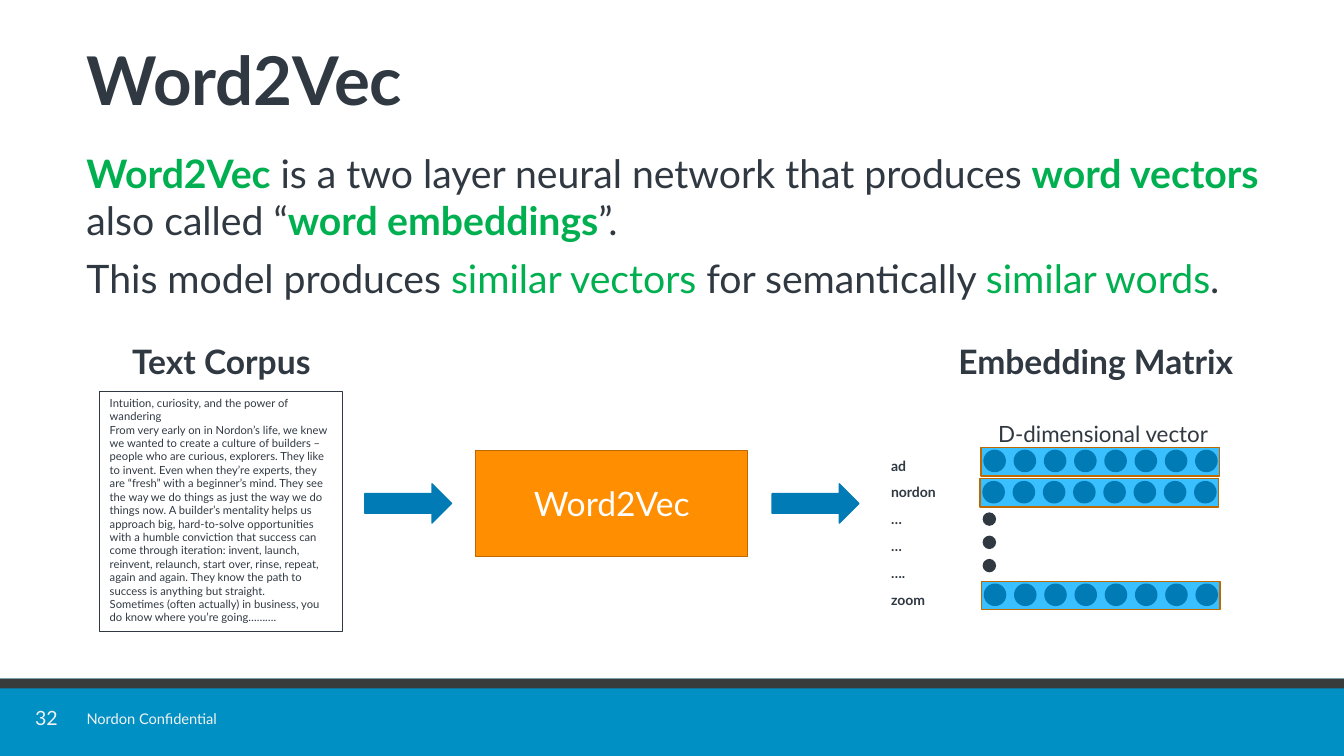
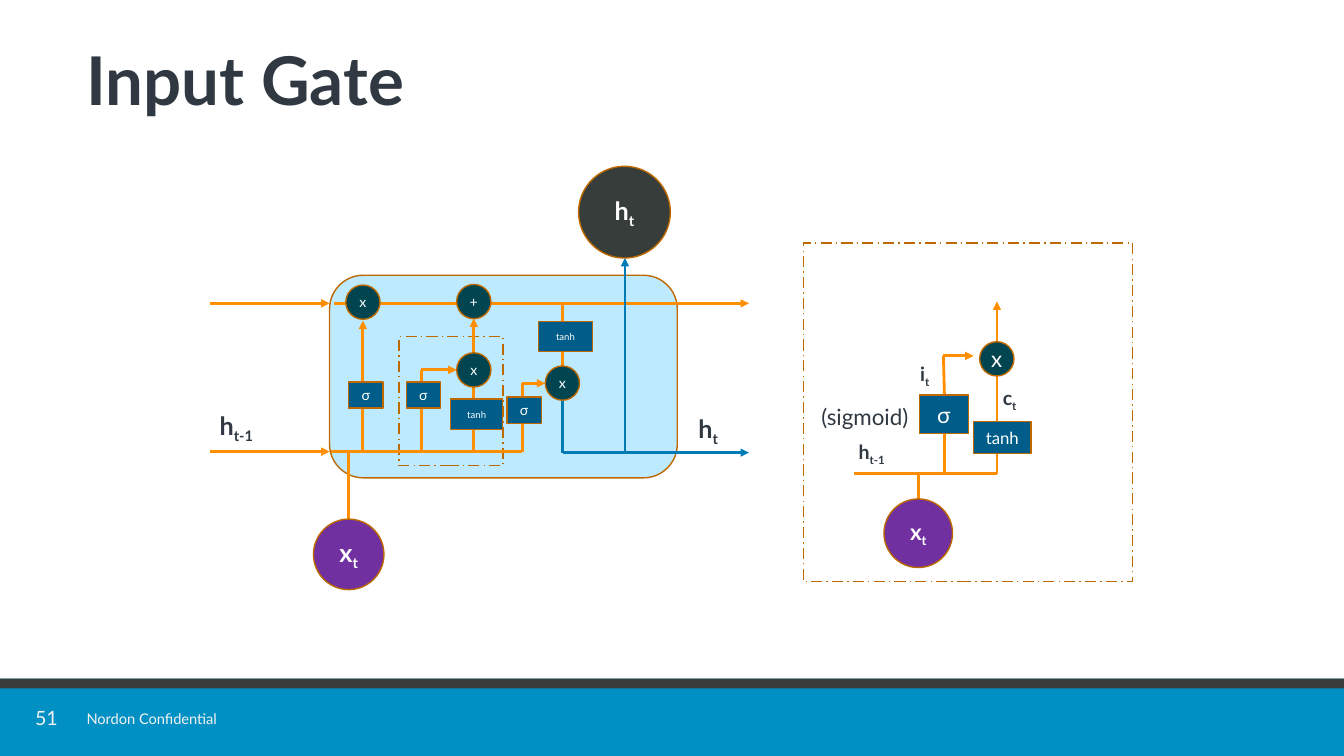
from lxml.etree import SubElement
from pptx import Presentation
from pptx.dml.color import RGBColor
from pptx.enum.dml import MSO_LINE
from pptx.enum.shapes import MSO_CONNECTOR, MSO_SHAPE as Preset
from pptx.enum.text import MSO_ANCHOR as Anchor, PP_ALIGN as Align
from pptx.oxml.ns import qn
from pptx.util import Pt

INK, WHITE, PALE = "303942", "FFFFFF", "F2F2F2"
BAND, BAND_EDGE = "0090C3", "383D3B"
GREEN, ORANGE, OUTLINE = "00B050", "FF8E00", "BD6900"
BLUE, VECTOR, CELL = "007BB6", "3ABFFF", "BDEAFF"
GATE, OPERATOR, INPUT, OUTPUT = "005C88", "00454F", "7030A0", "373D3A"


def rgb(value):
    return RGBColor.from_string(value)


def sub(base, index):
    """Runs of a symbol followed by its subscript."""
    return [(base, {}), (index, {"sub": True})]


class Deck:
    """The presentation, its style and the slide being drawn."""

    font = "Lato"

    def __init__(self):
        self.prs = Presentation()
        self.prs.slide_width, self.prs.slide_height = Pt(960), Pt(540)
        self.shapes = None

    def slide(self, title, number):
        """Start a slide with its bands, footer and title."""
        self.shapes = self.prs.slides.add_slide(self.prs.slide_layouts[6]).shapes
        self.shape(Preset.RECTANGLE, 0, 484.7, 960, 55.3, BAND)
        self.shape(Preset.RECTANGLE, 0, 484.7, 960, 7, BAND_EDGE)
        self.text(23.8, 505.4, 18.7, 16.6, [number], 14, PALE, align=Align.CENTER,
                  anchor=Anchor.MIDDLE, inset=0, wrap=False, spacing=0.9)
        self.text(54.7, 503.3, 115, 20, ["Nordon Confidential"], 10.5, PALE, wrap=False)
        self.text(54.7, 23, 857.5, 77.8, [title], 48, bold=True,
                  anchor=Anchor.MIDDLE, spacing=0.8)

    def set_text(self, frame, paragraphs, size, color=INK, bold=False, align=Align.LEFT,
                 anchor=Anchor.TOP, inset=None, wrap=True, spacing=None, gap=0):
        """Fill a text frame; a paragraph is a string or a list of (text, style) runs."""
        frame.word_wrap = wrap
        frame.vertical_anchor = anchor
        if inset is not None:
            frame.margin_left = frame.margin_right = Pt(inset)
            frame.margin_top = frame.margin_bottom = Pt(inset)
        for index, content in enumerate(paragraphs):
            paragraph = frame.add_paragraph() if index else frame.paragraphs[0]
            paragraph.alignment = align
            if spacing:
                paragraph.line_spacing = spacing
            if index and gap:
                paragraph.space_before = Pt(gap)
            font = paragraph.font
            font.name, font.size, font.bold = self.font, Pt(size), bold
            font.color.rgb = rgb(color)
            runs = [(content, {})] if isinstance(content, str) else content
            for words, style in runs:
                run = paragraph.add_run()
                run.text = words
                if "bold" in style:
                    run.font.bold = style["bold"]
                if "color" in style:
                    run.font.color.rgb = rgb(style["color"])
                if "sub" in style:
                    run._r.get_or_add_rPr().set("baseline", "-25000")

    def text(self, left, top, width, height, paragraphs, size, color=INK, **style):
        box = self.shapes.add_textbox(Pt(left), Pt(top), Pt(width), Pt(height))
        self.set_text(box.text_frame, paragraphs, size, color, **style)

    def shape(self, preset, left, top, width, height, fill=None, line=None,
              weight=1, dash=None):
        shape = self.shapes.add_shape(preset, Pt(left), Pt(top), Pt(width), Pt(height))
        shape.shadow.inherit = False
        if fill:
            shape.fill.solid()
            shape.fill.fore_color.rgb = rgb(fill)
        else:
            shape.fill.background()
        if line:
            shape.line.color.rgb = rgb(line)
            shape.line.width = Pt(weight)
            if dash:
                shape.line.dash_style = dash
        else:
            shape.line.fill.background()
        return shape

    def node(self, preset, left, top, width, height, fill, label, size, bold=False):
        """Outlined shape with a white centred label."""
        node = self.shape(preset, left, top, width, height, fill, OUTLINE)
        self.set_text(node.text_frame, [label], size, WHITE, bold, Align.CENTER,
                      Anchor.MIDDLE, inset=0, wrap=False)

    def wire(self, *points, color=ORANGE, arrow=True):
        """Straight connectors through the points, the last one with an arrowhead."""
        for start, end in zip(points, points[1:]):
            ends = [Pt(value) for value in (*start, *end)]
            connector = self.shapes.add_connector(MSO_CONNECTOR.STRAIGHT, *ends)
            connector.line.color.rgb = rgb(color)
            connector.line.width = Pt(2)
            properties = connector._element.spPr
            SubElement(properties, qn("a:effectLst"))
            if arrow and end == points[-1]:
                SubElement(properties.find(qn("a:ln")), qn("a:tailEnd"), type="triangle")

    def table(self, left, top, widths, heights, rows):
        """Unfilled table; a cell is None or (text, size, bold, alignment)."""
        table = self.shapes.add_table(len(rows), len(widths), Pt(left), Pt(top),
                                      Pt(sum(widths)), Pt(sum(heights))).table
        table.first_row = table.horz_banding = False
        for column, width in zip(table.columns, widths):
            column.width = Pt(width)
        for row, height, contents in zip(table.rows, heights, rows):
            row.height = Pt(height)
            for cell, content in zip(row.cells, contents):
                cell.fill.background()
                if content:
                    words, size, bold, align = content
                    self.set_text(cell.text_frame, [words], size, bold=bold, align=align)
                else:
                    SubElement(cell.text_frame.paragraphs[0]._p,
                               qn("a:endParaRPr"), sz="900")


def word2vec(deck):
    deck.slide("Word2Vec", "32")
    key, strong = {"color": GREEN}, {"color": GREEN, "bold": True}
    deck.text(54.7, 103, 856.8, 362, [
        [("Word2Vec", strong), (" is a two layer neural network that produces ", {}),
         ("word vectors ", strong), ("also called “", {}),
         ("word embeddings", strong), ("”.", {})],
        [("This model produces ", {}), ("similar vectors ", key),
         ("for semantically ", {}), ("similar words", key), (".", {})],
    ], 28, gap=8)

    corpus = deck.shape(Preset.RECTANGLE, 71.3, 279.4, 173.5, 172, line=INK, weight=0.75)
    deck.set_text(corpus.text_frame, [
        "Intuition, curiosity, and the power of wandering",
        "From very early on in Nordon’s life, we knew we wanted to create a culture of "
        "builders – people who are curious, explorers. They like to invent. Even when "
        "they’re experts, they are “fresh” with a beginner’s mind. They see the way we "
        "do things as just the way we do things now. A builder’s mentality helps us "
        "approach big, hard-to-solve opportunities with a humble conviction that "
        "success can come through iteration: invent, launch, reinvent, relaunch, start "
        "over, rinse, repeat, again and again. They know the path to success is "
        "anything but straight.",
        "Sometimes (often actually) in business, you do know where you’re going……….",
    ], 8)
    deck.node(Preset.RECTANGLE, 339.8, 321.8, 194.4, 75.6, ORANGE, "Word2Vec", 24)
    for left in (260.6, 551.5):
        deck.shape(Preset.RIGHT_ARROW, left, 345.6, 62, 28, BLUE, BLUE)
    deck.text(71.3, 239.8, 173.5, 36, ["Text Corpus"], 24, bold=True, align=Align.CENTER)
    deck.text(677.5, 239.8, 224, 36, ["Embedding Matrix"], 24, bold=True)

    vocabulary = ["ad", "nordon", "…", "…", "….", "zoom"]
    header = [None, ("D-dimensional vector", 16, False, Align.CENTER)]
    words = [[(word, 10, True, Align.LEFT), None] for word in vocabulary]
    deck.table(629.3, 296.6, [51.8, 213.8], [26.4] + [19.2] * len(words),
               [header] + words)

    for left, top in ((700.6, 319.7), (699.9, 342), (700.9, 415.3)):
        deck.shape(Preset.RECTANGLE, left, top, 170.6, 20.2, VECTOR, OUTLINE)
        for dimension in range(8):
            deck.shape(Preset.OVAL, left + 2.3 + 21.6 * dimension, top + 2,
                       15.1, 15.1, BLUE, BLUE)
    for step in range(3):
        deck.shape(Preset.OVAL, 702.4, 366.5 + 16.6 * step, 8.6, 8.6, INK, INK)


def input_gate(deck):
    deck.slide("Input Gate", "51")
    state_y, hidden_y, output_y = 216.7, 322.6, 323.3
    deck.shape(Preset.ROUNDED_RECTANGLE, 235.4, 196.6, 248.4, 144.7, CELL, OUTLINE)
    for left, top, width, height in ((573.8, 173.5, 235.4, 242),
                                     (285.1, 240.5, 74.2, 92.2)):
        deck.shape(Preset.RECTANGLE, left, top, width, height, line=OUTLINE,
                   dash=MSO_LINE.LONG_DASH_DOT)

    # Cell wiring
    for y in (state_y, hidden_y):
        deck.wire((149.8, y), (235.4, y))
    deck.wire((238.3, state_y), (535, state_y))
    deck.wire((236.2, hidden_y), (373, hidden_y), arrow=False)
    deck.wire((249.1, 372), (249.1, hidden_y), arrow=False)
    for x, tip in ((259.2, 229), (338.4, 227.5)):
        deck.wire((x, hidden_y), (x, tip))
    deck.wire((301, hidden_y), (301, 264.2), (326.2, 264.2))
    deck.wire((373, hidden_y), (373, 273.8), (389.5, 273.8))
    deck.wire((401.9, 262.8), (401.9, state_y), arrow=False)
    deck.wire((401.9, 285), (401.9, output_y), (535, output_y), color=BLUE)
    deck.wire((446.4, output_y), (446.4, 184.3), color=BLUE)

    # Detail wiring
    deck.wire((609.8, 338.4), (712.1, 338.4), (712.1, 215.3))
    deck.wire((656, 356.4), (656, 338.4), arrow=False)
    deck.wire((674.6, 338.4), (674.6, 282.2), (673.9, 254.2), (695.5, 254.2))

    for left, top, diameter, fill, symbol, size in (
            (223.9, 370.8, 50.4, INPUT, "x", 18),
            (413.3, 118.8, 65.5, OUTPUT, "h", 18),
            (631.4, 356.4, 49, INPUT, "x", 16)):
        deck.node(Preset.OVAL, left, top, diameter, diameter, fill,
                  sub(symbol, "t"), size, bold=True)
    for left, top, operation, size in (
            (247, 203.6, "x", 10.1), (326.2, 203.2, "+", 10.1),
            (326.2, 252, "x", 10.1), (389.5, 261.4, "x", 10.1),
            (699.8, 244.1, "x", 16)):
        deck.node(Preset.OVAL, left, top, 24.5, 24.5, OPERATOR, operation, size)
    for left, top, width, height, function, size in (
            (249.1, 272.9, 24.5, 18.7, "σ", 10.1),
            (290.2, 272.9, 24.5, 18.7, "σ", 10.1),
            (362.2, 283.7, 24.5, 18.7, "σ", 10.1),
            (321.8, 285.1, 37.4, 21.6, "tanh", 6.8),
            (384.5, 229.7, 38.9, 21.6, "tanh", 6.8),
            (656.6, 282.2, 35.3, 27.4, "σ", 16),
            (695.5, 301, 41, 23, "tanh", 12)):
        deck.node(Preset.RECTANGLE, left, top, width, height, GATE, function, size)

    for left, top, symbol, index, size in (
            (149.8, 289.4, "h", "t-1", 18), (491.8, 291.6, "h", "t", 18),
            (606.2, 311, "h", "t-1", 14), (709.2, 272.2, "c", "t", 14),
            (650.2, 254.9, "i", "t", 14)):
        deck.text(left, top, 54.7, 2 * size, [sub(symbol, index)], size, bold=True)
    deck.text(579.6, 284.4, 79.2, 26.6, ["(sigmoid)"], 16)


def main():
    deck = Deck()
    word2vec(deck)
    input_gate(deck)
    deck.prs.save("out.pptx")


if __name__ == "__main__":
    main()
